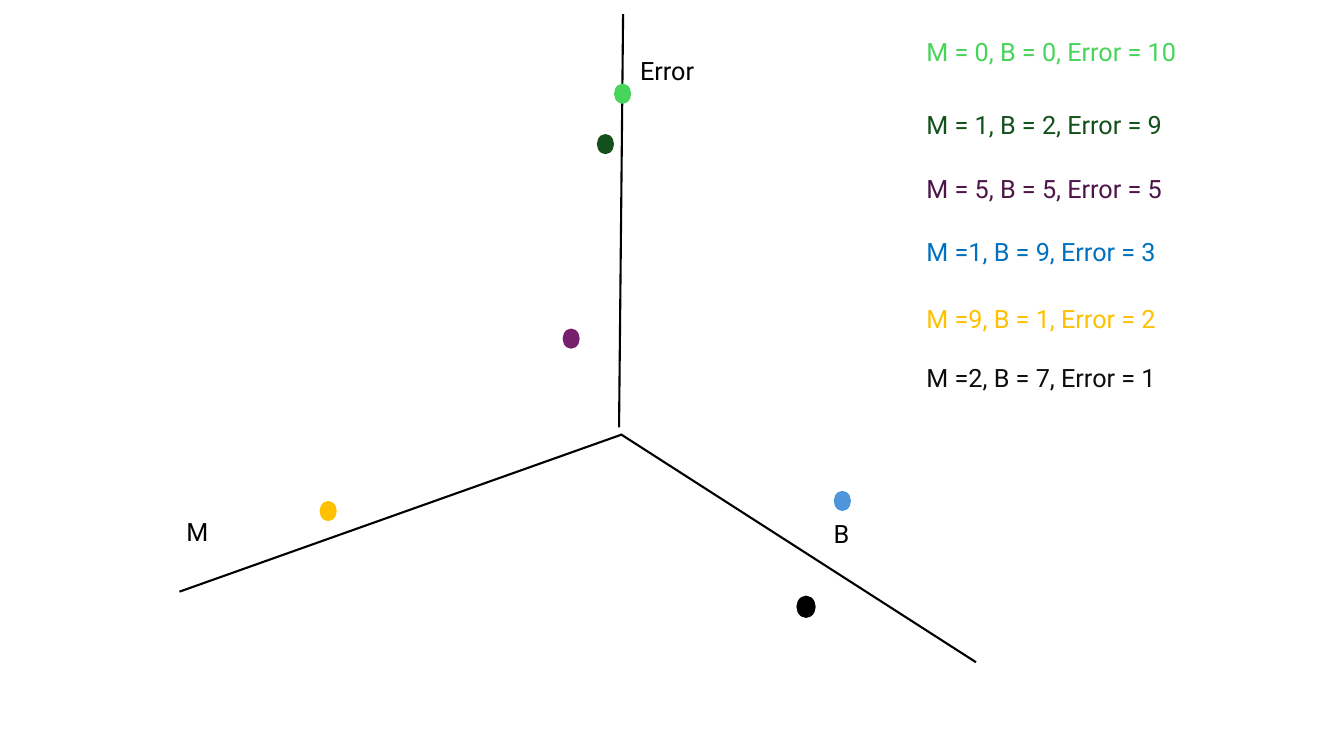
from lxml import etree
from pptx import Presentation
from pptx.dml.color import RGBColor
from pptx.enum.shapes import MSO_CONNECTOR as Connector, MSO_SHAPE as Shape
from pptx.enum.text import MSO_AUTO_SIZE as AutoSize
from pptx.oxml.ns import qn
from pptx.util import Inches, Pt

COLORS = {
    "black": "000000", "ink": "0D0D0D", "lime": "47D45A",
    "forest": "13511B", "forest dot": "13501B",
    "plum": "4E1548", "plum dot": "78206E",
    "blue": "0070C0", "blue dot": "4E95D9", "gold": "FFC000",
}
FONT = "Roboto"
AXES = [
    ((6.18, 0.14), (6.14, 4.24)),
    ((6.17, 4.31), (1.78, 5.87)),
    ((6.16, 4.31), (9.68, 6.57)),
]
AXIS_NAMES = [("M", 1.75, 5.07, 0.53), ("B", 8.17, 5.09, 0.53), ("Error", 6.25, 0.5, 0.83)]
POINTS = [
    (6.09, 0.83, "lime"), (5.92, 1.33, "forest dot"), (5.58, 3.26, "plum dot"),
    (8.27, 4.87, "blue dot"), (3.17, 4.97, "gold"), (7.91, 5.92, "black"),
]
LEGEND = [
    ("M = 0, B = 0, Error = 10", 0, "lime"),
    ("M = 1, B = 2, Error = 9", 0.73, "forest"),
    ("M = 5, B = 5, Error = 5", 1.36, "plum"),
    ("M =1, B = 9, Error = 3", 1.99, "blue"),
    ("M =9, B = 1, Error = 2", 2.65, "gold"),
    ("M =2, B = 7, Error = 1", 3.24, "ink"),
]


def color(name):
    """Return the named colour."""
    return RGBColor.from_string(COLORS[name])


def add_label(page, text, left, top, width, tint):
    """Write one line of text at the given place."""
    box = page.shapes.add_textbox(Inches(left), Inches(top), Inches(width), Inches(0.4))
    frame = box.text_frame
    frame.word_wrap = True
    frame.auto_size = AutoSize.SHAPE_TO_FIT_TEXT
    frame.text = text
    font = frame.paragraphs[0].runs[0].font
    font.name, font.size = FONT, Pt(18)
    font.color.rgb = color(tint)


def add_axis(page, start, end):
    """Draw one axis between two positions."""
    axis = page.shapes.add_connector(Connector.STRAIGHT, *map(Inches, start + end))
    axis.line.color.rgb = color("black")
    axis.line.width = Pt(1.5)
    etree.SubElement(axis._element.spPr, qn("a:effectLst"))


def add_point(page, left, top, tint):
    """Draw one data point."""
    dot = page.shapes.add_shape(
        Shape.OVAL, Inches(left), Inches(top), Inches(0.17), Inches(0.2))
    dot.shadow.inherit = False
    dot.fill.solid()
    dot.fill.fore_color.rgb = color(tint)
    if tint == "black":
        dot.line.color.rgb = color(tint)
        dot.line.width = Pt(1.5)
    else:
        dot.line.fill.background()


def add_plot(page, left, top):
    """Draw the axes, their names and the points from the given corner."""
    for (x1, y1), (x2, y2) in AXES:
        add_axis(page, (left + x1, top + y1), (left + x2, top + y2))
    for name, x, y, width in AXIS_NAMES:
        add_label(page, name, left + x, top + y, width, "black")
    for x, y, tint in POINTS:
        add_point(page, left + x, top + y, tint)


def add_legend(page, left, top, width):
    """List the values of the points in their colours."""
    for text, offset, tint in LEGEND:
        add_label(page, text, left, top + offset, width, tint)


def main():
    """Build and save the deck."""
    deck = Presentation()
    deck.slide_width, deck.slide_height = Inches(13.33), Inches(7.5)
    page = deck.slides.add_slide(deck.slide_layouts[6])
    add_plot(page, 0, 0)
    add_legend(page, 9.09, 0.31, 3)
    deck.save("out.pptx")


if __name__ == "__main__":
    main()
